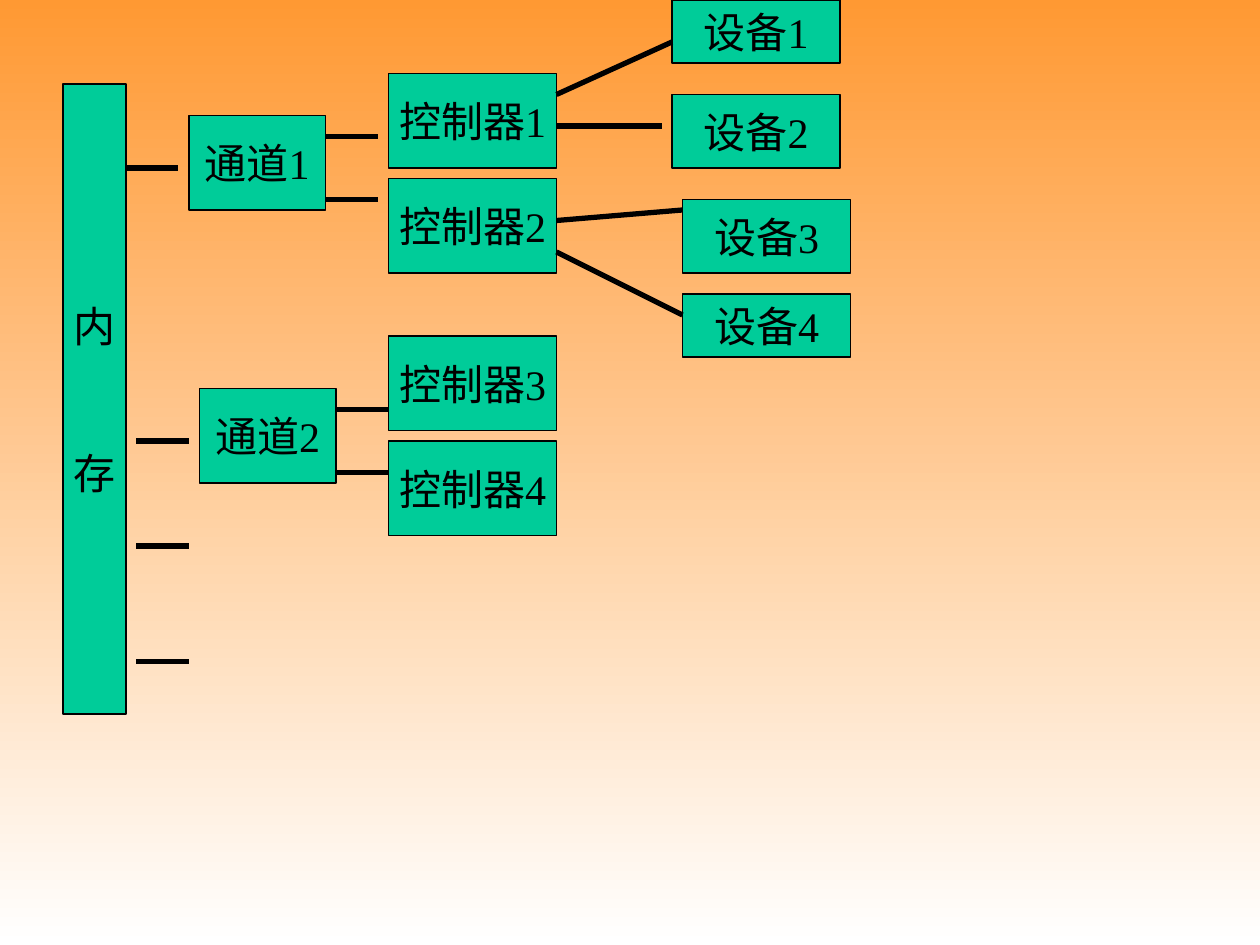
from dataclasses import dataclass
from pptx import Presentation
from pptx.dml.color import RGBColor as RGB
from pptx.enum.shapes import MSO_CONNECTOR as Link, MSO_SHAPE as Form
from pptx.enum.text import MSO_ANCHOR as Anchor, PP_ALIGN as Align
from pptx.oxml.ns import qn
from pptx.util import Pt
from lxml.etree import SubElement


@dataclass(frozen=True)
class Theme:
    top: RGB = RGB(0xFF, 0x99, 0x33)
    base: RGB = RGB(0xFF, 0xFF, 0xFF)
    box: RGB = RGB(0x00, 0xCC, 0x99)
    ink: RGB = RGB(0x00, 0x00, 0x00)
    font: str = "Times New Roman"
    size: int = 24
    edge: float = 0.75
    wire: float = 3


class Sheet:
    def __init__(self, slide, theme):
        self.slide = slide
        self.theme = theme

    def back(self):
        fill = self.slide.background.fill
        fill.gradient()
        fill.gradient_angle = 270
        for stop, tint in zip(fill.gradient_stops, (self.theme.top, self.theme.base)):
            stop.color.rgb = tint

    def box(self, text, x, y, w, h, gap=0):
        look = self.theme
        shape = self.slide.shapes.add_shape(Form.RECTANGLE, Pt(x), Pt(y), Pt(w), Pt(h))
        shape.shadow.inherit = False
        shape.fill.solid()
        shape.fill.fore_color.rgb = look.box
        shape.line.color.rgb = look.ink
        shape.line.width = Pt(look.edge)
        frame = shape.text_frame
        frame.word_wrap = False
        frame.vertical_anchor = Anchor.MIDDLE
        frame.text = text
        for i, para in enumerate(frame.paragraphs):
            para.alignment = Align.CENTER
            para.space_before = Pt(gap if i else 0)
            for run in para.runs:
                run.font.name = look.font
                run.font.size = Pt(look.size)
                run.font.color.rgb = look.ink

    def line(self, x1, y1, x2, y2):
        wire = self.slide.shapes.add_connector(
            Link.STRAIGHT, Pt(x1), Pt(y1), Pt(x2), Pt(y2))
        wire.line.color.rgb = self.theme.ink
        wire.line.width = Pt(self.theme.wire)
        SubElement(wire.element.spPr, qn("a:effectLst"))


def main():
    deck = Presentation()
    deck.slide_width, deck.slide_height = Pt(720), Pt(540)
    sheet = Sheet(deck.slides.add_slide(deck.slide_layouts[6]), Theme())
    sheet.back()

    # Memory and its links to the channels
    sheet.box("内\n存", 36, 48, 36, 360, gap=55)
    sheet.line(72, 96, 102, 96)
    for y in (252, 312, 378):
        sheet.line(78, y, 108, y)

    # Channels, each with two links to its controllers
    for n, (x, y, dy) in enumerate([(108, 66, 12), (114, 222, 12)], 1):
        sheet.box(f"通道{n}", x, y, 78, 54)
        for drop in (dy, dy + 36):
            sheet.line(x + 78, y + drop, x + 108, y + drop)

    # Controllers
    for n, y in enumerate((42, 102, 192, 252), 1):
        sheet.box(f"控制器{n}", 222, y, 96, 54)

    # Devices: place, height, and the link from the controller
    devices = [
        (384, 0, 36, (54, 384, 24)),
        (384, 54, 42, (72, 378, 72)),
        (390, 114, 42, (126, 390, 120)),
        (390, 168, 36, (144, 390, 180)),
    ]
    for n, (x, y, h, link) in enumerate(devices, 1):
        sheet.box(f"设备{n}", x, y, 96, h)
        start, end, stop = link
        sheet.line(318, start, end, stop)

    deck.save("out.pptx")


if __name__ == "__main__":
    main()
